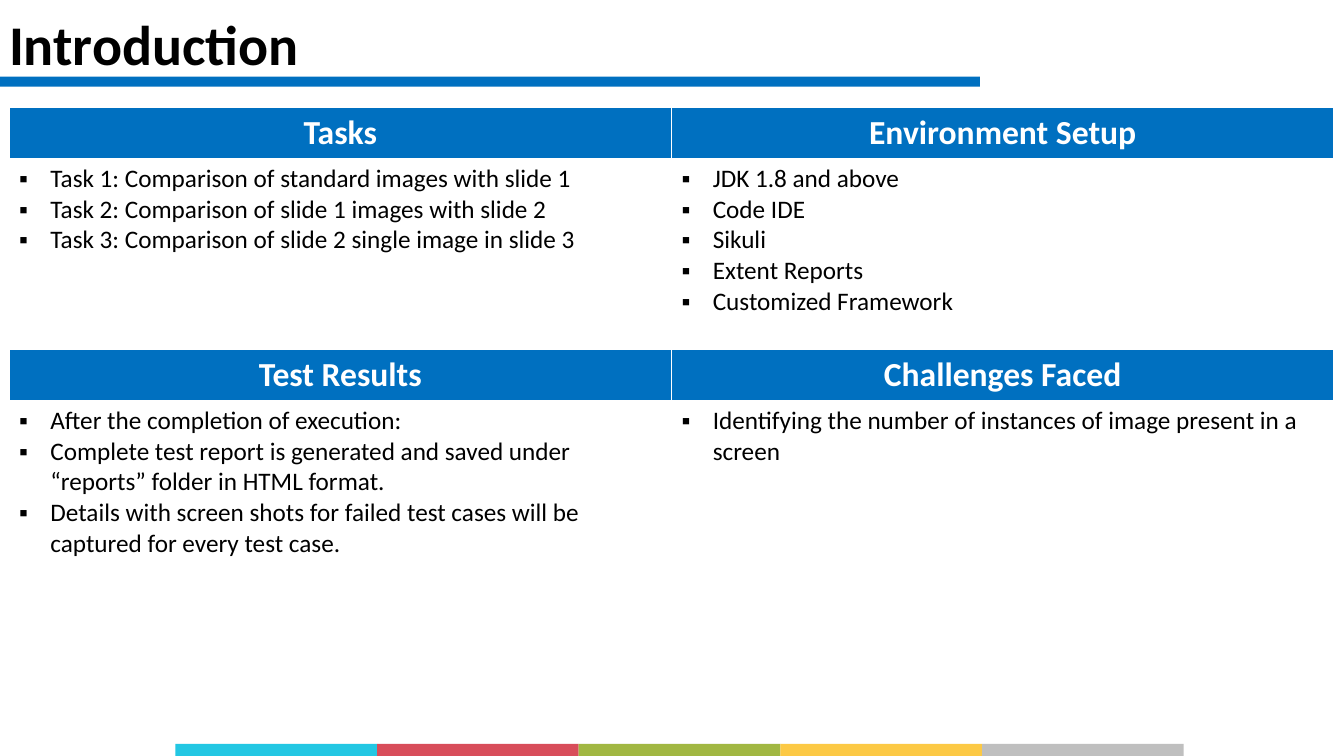
"""Build the Introduction slide with its four-part table."""
from lxml import etree
from pptx import Presentation
from pptx import util as u
from pptx.dml.color import RGBColor
from pptx.enum import shapes, text
from pptx.oxml import ns

FONT, BLUE, WHITE, BLACK = "Calibri", "0070C0", "FFFFFF", "000000"
TITLE = "Introduction"
BANDS = ["23C7E3", "D84D5A", "A1B742", "FCC945", "BFBFBF"]
PARTS = [
    [("Tasks", ["Task 1: Comparison of standard images with slide 1",
                "Task 2: Comparison of slide 1 images with slide 2",
                "Task 3: Comparison of slide 2 single image in slide 3"]),
     ("Environment Setup", ["JDK 1.8 and above", "Code IDE", "Sikuli",
                            "Extent Reports", "Customized Framework"])],
    [("Test Results", ["After the completion of execution:",
                       "Complete test report is generated and saved under "
                       "“reports” folder in HTML format.",
                       "Details with screen shots for failed test cases will be "
                       "captured for every test case."]),
     ("Challenges Faced", ["Identifying the number of instances of image "
                           "present in a screen"])],
]
WIDE, ROWS = 6.57, [0.49, 1.9, 0.49, 2.38]


def tint(fill, color):
    fill.solid()
    fill.fore_color.rgb = RGBColor.from_string(color)


def box(*place):
    return [u.Inches(n) for n in place]


def bar(color, *place):
    shape = slide.shapes.add_shape(shapes.MSO_SHAPE.RECTANGLE, *box(*place))
    shape.shadow.inherit = False
    tint(shape.fill, color)
    shape.line.fill.background()


def write(para, words, size, color, bold):
    run = para.add_run()
    run.text = words
    font = run.font
    font.name, font.size, font.bold = FONT, u.Pt(size), bold
    tint(font.fill, color)


def child(node, tag, **attrs):
    return etree.SubElement(node, ns.qn("a:" + tag), attrs)


def bullet(para):
    props = para._p.get_or_add_pPr()
    step = u.Inches(0.31)
    props.set("marL", str(step))
    props.set("indent", str(-step))
    child(props, "buFont", typeface="Arial")
    child(props, "buChar", char="▪")


def edge(cell):
    props = cell._tc.get_or_add_tcPr()
    for side in ("lnL", "lnR", "lnT", "lnB"):
        line = child(props, side, w=str(u.Pt(1)))
        child(child(line, "solidFill"), "srgbClr", val=WHITE)


def head(cell, words):
    edge(cell)
    tint(cell.fill, BLUE)
    cell.vertical_anchor = text.MSO_ANCHOR.MIDDLE
    para = cell.text_frame.paragraphs[0]
    para.alignment = text.PP_ALIGN.CENTER
    write(para, words, 24, WHITE, True)


def body(cell, items):
    edge(cell)
    cell.fill.background()
    frame = cell.text_frame
    for i, words in enumerate(items):
        para = frame.add_paragraph() if i else frame.paragraphs[0]
        bullet(para)
        write(para, words, 18, BLACK, False)


deck = Presentation()
deck.slide_width, deck.slide_height = box(13.33, 7.5)
slide = deck.slides.add_slide(deck.slide_layouts[6])

for i, color in enumerate(BANDS):
    bar(color, 1.74 + 2 * i, 7.38, 2, 0.12)

frame = slide.shapes.add_textbox(*box(0.09, 0.09, 12.69, 0.67)).text_frame
frame.word_wrap = True
frame.vertical_anchor = text.MSO_ANCHOR.MIDDLE
frame.margin_left = frame.margin_right = frame.margin_top = frame.margin_bottom = 0
write(frame.paragraphs[0], TITLE, 40, BLACK, True)
bar(BLUE, 0, 0.76, 9.72, 0.1)

table = slide.shapes.add_table(
    len(ROWS), 2, *box(0.09, 1.07, 2 * WIDE, sum(ROWS))).table
table.first_row = table.horz_banding = False
for col in table.columns:
    col.width = u.Inches(WIDE)
for row, tall in zip(table.rows, ROWS):
    row.height = u.Inches(tall)
for r, pair in enumerate(PARTS):
    for c, (name, items) in enumerate(pair):
        head(table.cell(2 * r, c), name)
        body(table.cell(2 * r + 1, c), items)

deck.save("out.pptx")
